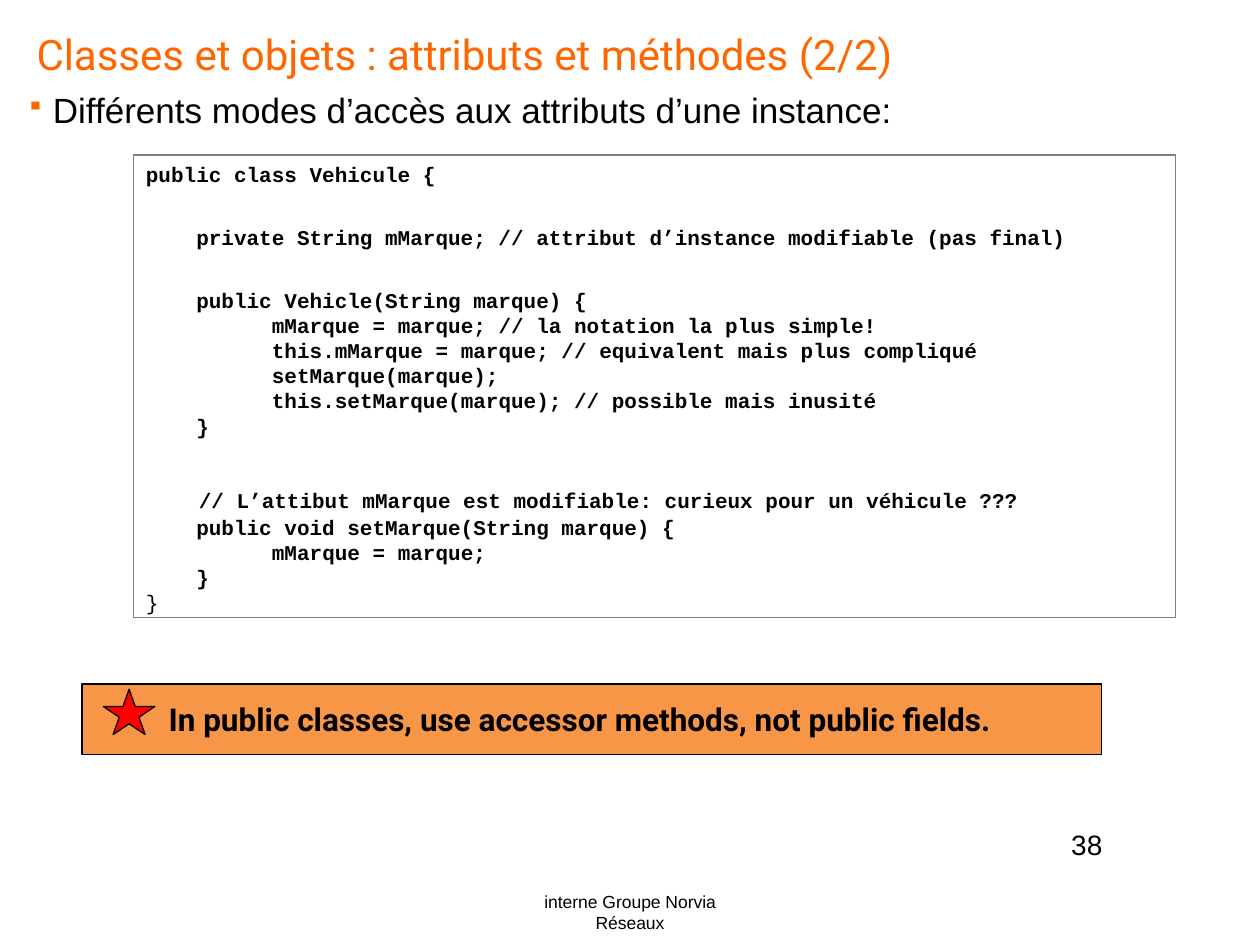
from dataclasses import dataclass

import lxml.etree
import pptx
import pptx.dml.color
import pptx.enum.shapes
import pptx.enum.text
import pptx.oxml.ns
import pptx.util
from pptx.util import Inches, Pt

ORANGE = "FF6600"
BLACK = "000000"
ALIGN = pptx.enum.text.PP_ALIGN
SHAPE = pptx.enum.shapes.MSO_SHAPE


@dataclass
class Box:
    left: float
    top: float
    width: float
    height: float

    def lengths(self) -> list:
        return [Inches(v) for v in (self.left, self.top, self.width, self.height)]


@dataclass
class Label:
    text: str
    box: Box
    size: float
    font: str = "Arial"
    color: str = BLACK
    bold: bool = False
    align: ALIGN = ALIGN.LEFT
    inset: bool = False
    wrap: bool = True


@dataclass
class CodeLine:
    text: str
    indent: float = 0.0
    gap: float = 0.0
    bold: bool = True


def rgb(value: str):
    return pptx.dml.color.RGBColor.from_string(value)


def set_font(paragraph, name: str, size: float, color: str, bold: bool) -> None:
    font = paragraph.font
    font.name, font.size, font.bold = name, Pt(size), bold
    font.color.rgb = rgb(color)


def set_indent(paragraph, margin: float, first: float = 0.0):
    properties = paragraph._p.get_or_add_pPr()
    properties.set("marL", str(Inches(margin)))
    properties.set("indent", str(Inches(first)))
    return properties


def add_label(slide, label: Label):
    frame = slide.shapes.add_textbox(*label.box.lengths()).text_frame
    frame.word_wrap = label.wrap
    if not label.inset:
        frame.margin_left = frame.margin_right = 0
        frame.margin_top = frame.margin_bottom = 0
    paragraph = frame.paragraphs[0]
    paragraph.text = label.text
    paragraph.alignment = label.align
    set_font(paragraph, label.font, label.size, label.color, label.bold)
    return paragraph


def add_bullet(paragraph, symbol: str, color: str, percent: int) -> None:
    properties = set_indent(paragraph, 0.21, -0.21)
    qn = pptx.oxml.ns.qn
    bullet_color = lxml.etree.SubElement(properties, qn("a:buClr"))
    lxml.etree.SubElement(bullet_color, qn("a:srgbClr"), val=color)
    lxml.etree.SubElement(properties, qn("a:buSzPct"), val=str(percent * 1000))
    lxml.etree.SubElement(properties, qn("a:buChar"), char=symbol)


def add_outlined(slide, kind, box: Box, line: str, fill: str = ""):
    shape = slide.shapes.add_shape(kind, *box.lengths())
    shape.shadow.inherit = False
    shape.line.color.rgb = rgb(line)
    shape.line.width = Pt(0.75)
    if fill:
        shape.fill.solid()
        shape.fill.fore_color.rgb = rgb(fill)
    else:
        shape.fill.background()
    return shape


def add_code(slide, box: Box, lines: list[CodeLine]) -> None:
    frame = add_outlined(slide, SHAPE.RECTANGLE, box, "7F7F7F").text_frame
    frame.word_wrap = True
    frame.vertical_anchor = pptx.enum.text.MSO_ANCHOR.TOP
    for number, line in enumerate(lines):
        paragraph = frame.add_paragraph() if number else frame.paragraphs[0]
        paragraph.text = line.text
        paragraph.alignment = ALIGN.LEFT
        paragraph.line_spacing = Pt(14.4)
        paragraph.space_before = Pt(line.gap)
        set_indent(paragraph, line.indent)
        set_font(paragraph, "Courier New", 12, BLACK, line.bold)


MEMBER, BODY = 0.4, 1.0  # code indents in inches
BLANK = 21.6  # height of a blank code line in points

CODE = [
    CodeLine("public class Vehicule {"),
    CodeLine("private String mMarque; // attribut d’instance modifiable (pas final)", MEMBER, BLANK),
    CodeLine("public Vehicle(String marque) {", MEMBER, BLANK),
    CodeLine("mMarque = marque; // la notation la plus simple!", BODY),
    CodeLine("this.mMarque = marque; // equivalent mais plus compliqué", BODY),
    CodeLine("setMarque(marque);", BODY),
    CodeLine("this.setMarque(marque); // possible mais inusité", BODY),
    CodeLine("}", MEMBER),
    CodeLine("// L’attibut mMarque est modifiable: curieux pour un véhicule ???", 0.42, 28),
    CodeLine("public void setMarque(String marque) {", MEMBER, 1),
    CodeLine("mMarque = marque;", BODY),
    CodeLine("}", MEMBER),
    CodeLine("}", bold=False),
]

FOOTER = Label("interne Groupe Norvia Réseaux", Box(3.96, 7.02, 2.08, 0.26), 10,
               align=ALIGN.CENTER, inset=True, wrap=False)
TITLE = Label("Classes et objets : attributs et méthodes (2/2)",
              Box(0.29, 0.23, 9.43, 0.54), 24, "Roboto", ORANGE)
PAGE_NUMBER = Label("38", Box(8.33, 6.62, 0.59, 0.51), 16, align=ALIGN.CENTER)
INTRO = Label("Différents modes d’accès aux attributs d’une instance:",
              Box(0.21, 0.7, 9.41, 4.58), 20)
ADVICE = Label("In public classes, use accessor methods, not public fields.",
               Box(1.24, 5.51, 7.5, 0.4), 18, "Roboto", bold=True, inset=True)


def main() -> None:
    deck = pptx.Presentation()
    deck.slide_width, deck.slide_height = Inches(10), Inches(7.5)
    slide = deck.slides.add_slide(deck.slide_layouts[6])

    # Footer, title and page number
    add_label(slide, FOOTER)
    add_label(slide, TITLE)
    page_number = add_label(slide, PAGE_NUMBER)
    page_number.line_spacing = 0.8

    # Introduction and code listing
    add_bullet(add_label(slide, INTRO), "▪", ORANGE, 70)
    add_code(slide, Box(1.06, 1.23, 8.27, 3.67), CODE)

    # Advice banner with its star
    add_outlined(slide, SHAPE.RECTANGLE, Box(0.65, 5.43, 8.09, 0.56), BLACK, "F79646")
    add_outlined(slide, SHAPE.STAR_5_POINT, Box(0.82, 5.47, 0.41, 0.36), BLACK, "FF0000")
    add_label(slide, ADVICE)

    deck.save("out.pptx")


if __name__ == "__main__":
    main()
